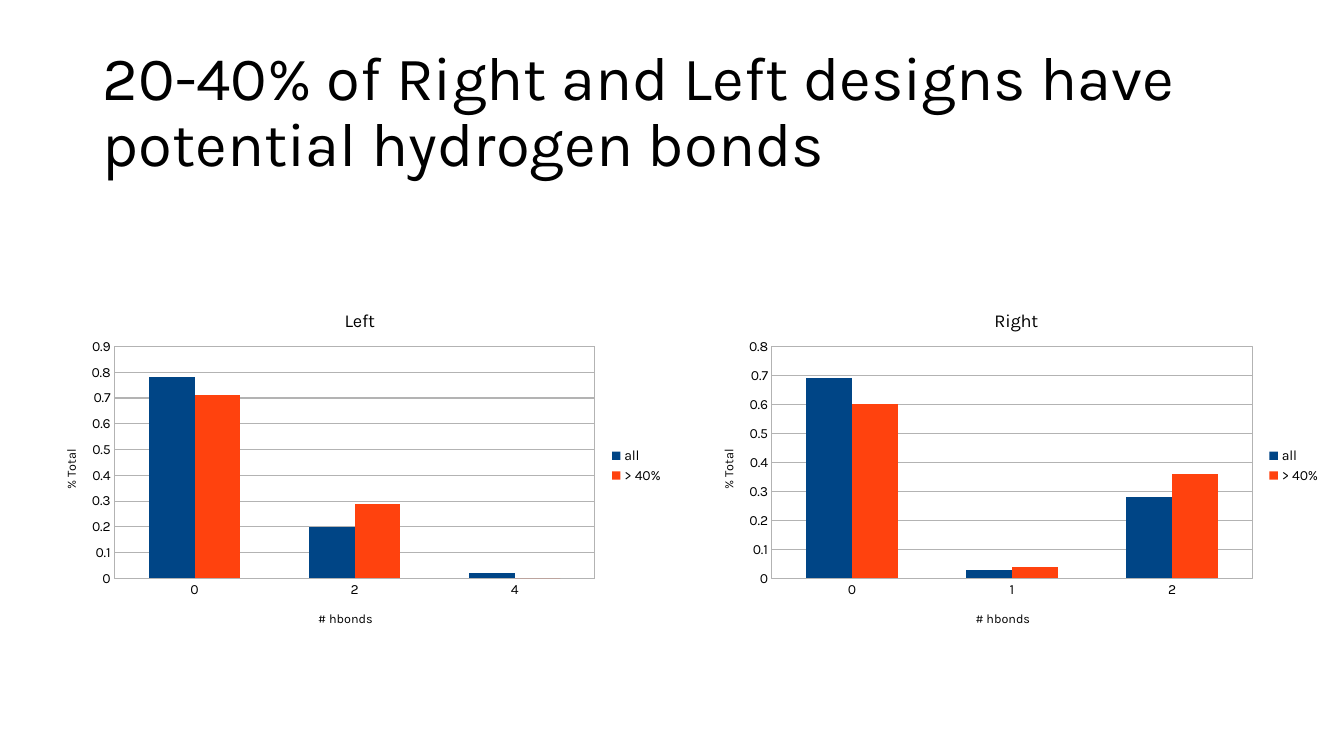
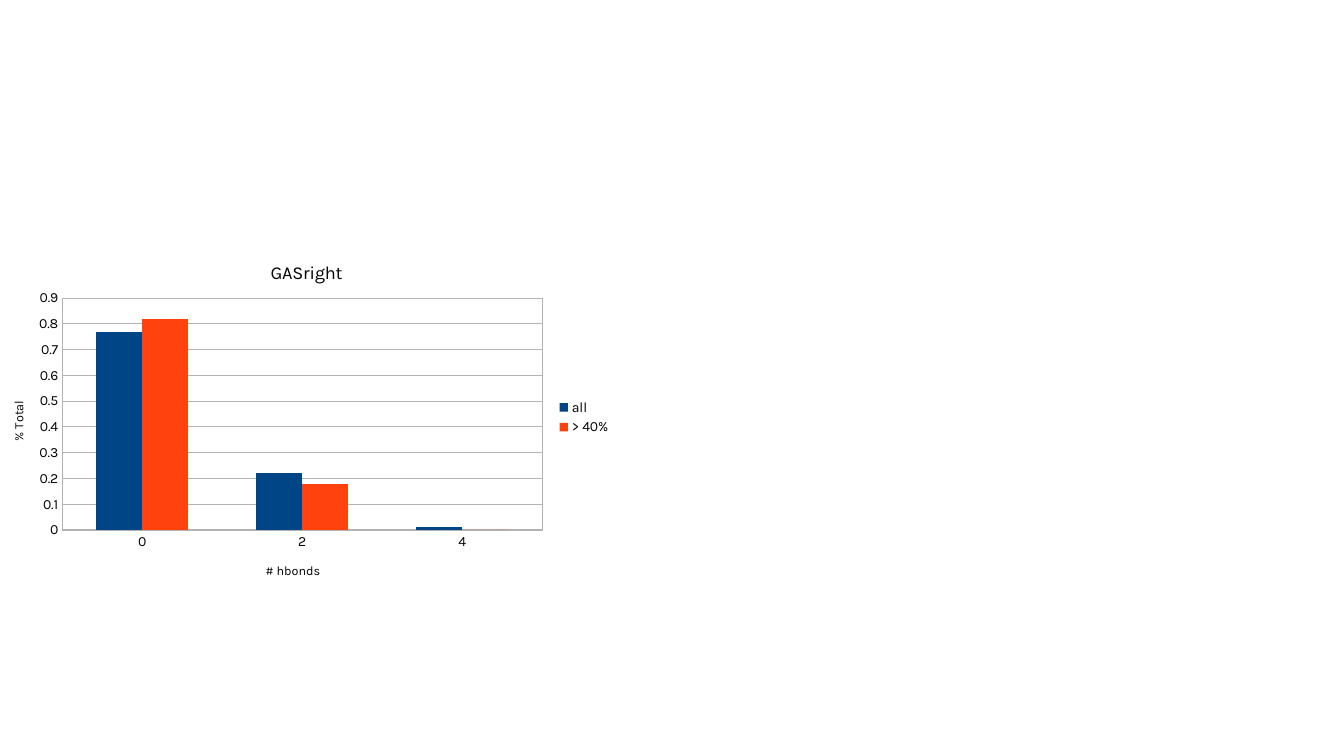
from lxml import etree
from pptx import Presentation
from pptx import util as u
from pptx.chart.data import CategoryChartData
from pptx.dml.color import RGBColor
from pptx.enum import chart as ch, text
from pptx.oxml import parse_xml
from pptx.oxml.ns import nsdecls, qn

PX = 9144  # EMU in one px, 100 px to the inch
FONT = "Karla"
BLACK, GREY = "000000", "B3B3B3"
SERIES_COLORS = ("004586", "FF420E")
TITLE_ONLY, BLANK = 5, 6
CHART_SIZE = (630, 354)


def px(*lengths):
    return [u.Emu(n * PX) for n in lengths]


def rgb(color):
    return RGBColor.from_string(color)


def style_font(font, size, color=BLACK):
    font.name, font.size, font.bold = FONT, u.Pt(size), False
    font.color.rgb = rgb(color)


def style_line(line, color=GREY, width=0.75):
    line.color.rgb = rgb(color)
    line.width = u.Pt(width)


def write(tf, content, size, color=BLACK, align=None, spacing=None):
    p = tf.paragraphs[0]
    p.alignment, p.line_spacing = align, spacing
    r = p.add_run()
    r.text = content
    style_font(r.font, size, color)


def place(element, inner=False, **fractions):
    """Fix a chart part at fractions (x, y, w, h) of the chart area."""
    for old in element.findall(qn("c:layout")):
        element.remove(old)
    layout = parse_xml(f"<c:layout {nsdecls('c')}><c:manualLayout/></c:layout>")
    settings = {"layoutTarget": "inner"} if inner else {}
    settings.update(xMode="edge", yMode="edge", **fractions)
    for tag, val in settings.items():
        etree.SubElement(layout[0], qn(f"c:{tag}")).set("val", str(val))
    tx = element.find(qn("c:tx"))
    if tx is None:
        element.insert(0, layout)
    else:
        tx.addnext(layout)


def add_title(slide, content):
    sp = slide.shapes.title
    sp.left, sp.top, sp.width, sp.height = px(92, 40, 1150, 145)
    tf = sp.text_frame
    tf.word_wrap = True
    tf.auto_size = text.MSO_AUTO_SIZE.NONE
    tf.vertical_anchor = text.MSO_ANCHOR.MIDDLE
    write(tf, content, 44, align=text.PP_ALIGN.LEFT, spacing=0.9)


def title_chart_part(title, content, size, x, y, rotation=0):
    """Write and place the title of a chart or of an axis."""
    tf = title.text_frame
    write(tf, content, size)
    body = tf._txBody.find(qn("a:bodyPr"))
    body.set("rot", str(rotation * 60000))
    body.set("vert", "horz")
    place(title._element, x=x, y=y)


def style_axis(axis):
    axis.major_tick_mark = axis.minor_tick_mark = ch.XL_TICK_MARK.NONE
    style_font(axis.tick_labels.font, 10)
    style_line(axis.format.line)


def frame_plot(chart):
    plot_area = chart._chartSpace.chart.plotArea
    place(plot_area, inner=True, x=0.12, y=0.166, w=0.756, h=0.65)
    plot_area.append(parse_xml(
        f'<c:spPr {nsdecls("c", "a")}><a:noFill/><a:ln w="{u.Pt(0.75)}"><a:solidFill>'
        f'<a:srgbClr val="{GREY}"/></a:solidFill></a:ln></c:spPr>'))


def add_hbond_chart(slide, left, top, name, name_x, cats, every, over_40, y_max):
    data = CategoryChartData()
    data.categories = cats
    data.add_series("all", every)
    data.add_series("> 40%", over_40)
    chart = slide.shapes.add_chart(ch.XL_CHART_TYPE.COLUMN_CLUSTERED,
                                   *px(left, top, *CHART_SIZE), data).chart
    style_font(chart.font, 10)
    title_chart_part(chart.chart_title, name, 13, name_x, 0.05)
    chart.has_legend = True
    chart.legend.position = ch.XL_LEGEND_POSITION.RIGHT
    chart.legend.include_in_layout = False
    style_font(chart.legend.font, 10)

    x_axis, y_axis = chart.category_axis, chart.value_axis
    style_axis(x_axis)
    style_axis(y_axis)
    title_chart_part(x_axis.axis_title, "# hbonds", 9, 0.437, 0.9)
    title_chart_part(y_axis.axis_title, "% Total", 9, 0.035, 0.447, rotation=-90)
    y_axis.minimum_scale, y_axis.maximum_scale, y_axis.major_unit = 0, y_max, 0.1
    y_axis.tick_labels.number_format = "General"
    y_axis.tick_labels.number_format_is_linked = False
    style_line(y_axis.major_gridlines.format.line)

    plot = chart.plots[0]
    plot.gap_width, plot.overlap, plot.vary_by_categories = 150, 0, False
    for series, color in zip(plot.series, SERIES_COLORS):
        series.format.fill.solid()
        series.format.fill.fore_color.rgb = rgb(color)
        series.format.line.fill.background()
    frame_plot(chart)


def main():
    prs = Presentation()
    prs.slide_width, prs.slide_height = px(1333, 750)

    slide = prs.slides.add_slide(prs.slide_layouts[TITLE_ONLY])
    add_title(slide, "20-40% of Right and Left designs have potential hydrogen bonds")
    add_hbond_chart(slide, 38, 285, "Left", 0.477, ("0", "2", "4"),
                    (0.78, 0.2, 0.02), (0.71, 0.29, 0), 0.9)
    add_hbond_chart(slide, 690, 285, "Right", 0.465, ("0", "1", "2"),
                    (0.69, 0.03, 0.28), (0.6, 0.04, 0.36), 0.8)

    slide = prs.slides.add_slide(prs.slide_layouts[BLANK])
    add_hbond_chart(slide, -14, 237, "GASright", 0.443, ("0", "2", "4"),
                    (0.77, 0.22, 0.01), (0.82, 0.18, 0), 0.9)

    prs.save("out.pptx")


if __name__ == "__main__":
    main()
